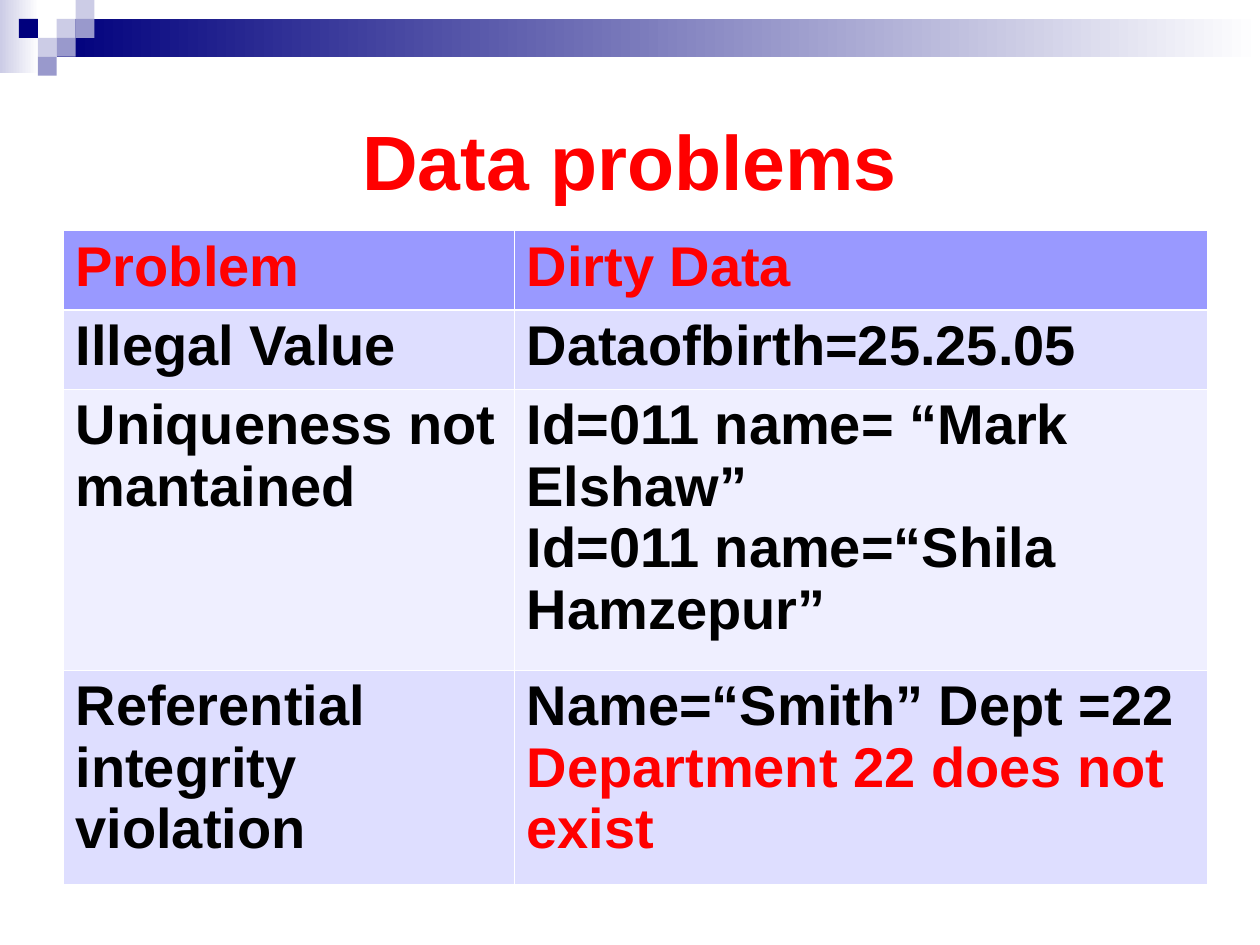
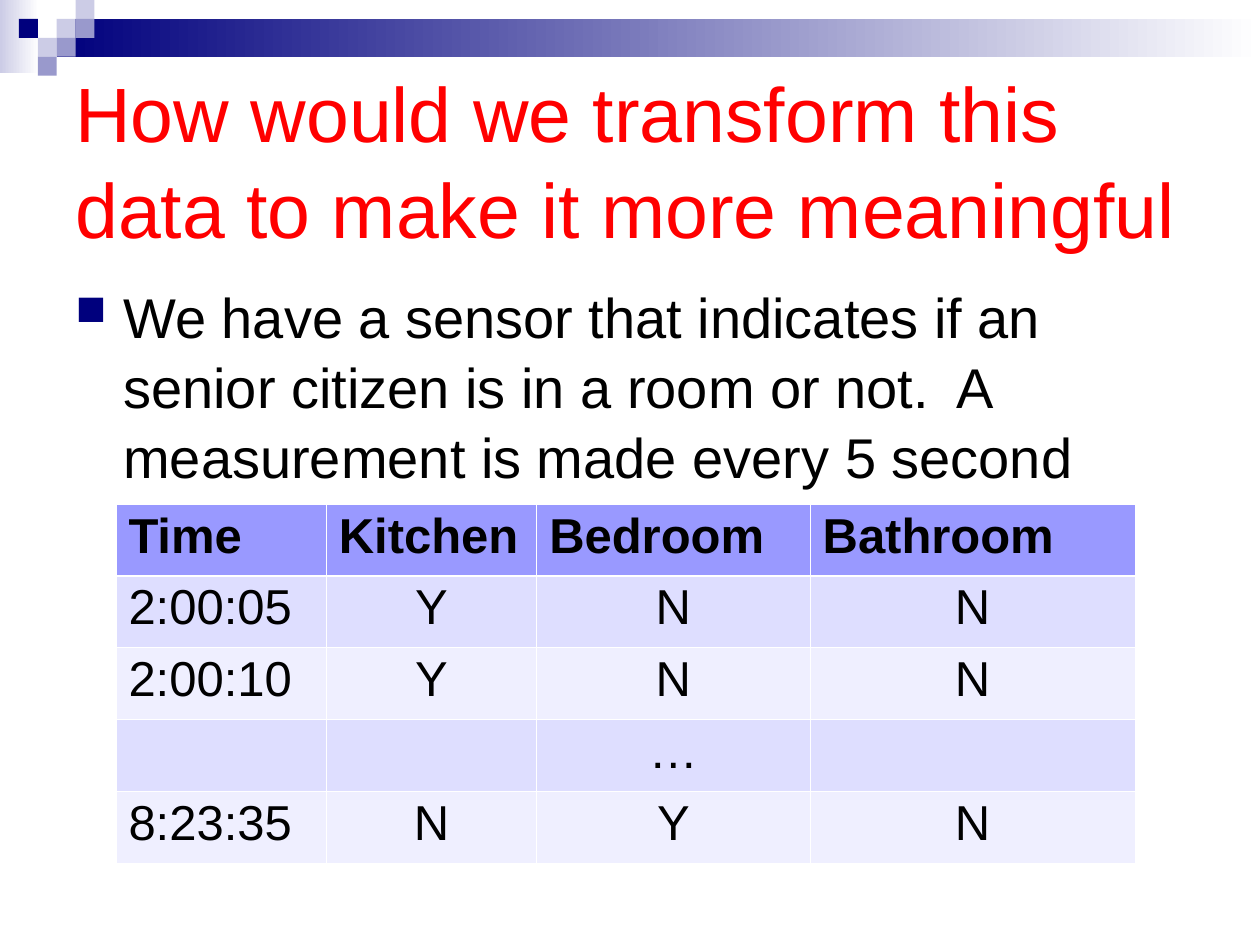
import pptx
import pptx.dml.color
import pptx.enum.shapes
import pptx.enum.text
import pptx.oxml
import pptx.oxml.ns
import pptx.util
from pptx.util import Inches

COLORS = {
    "navy": "00007D", "lavender": "CCCCE6", "violet": "9999CC",
    "white": "FFFFFF", "black": "000000", "red": "FF0000",
    "header": "9999FF", "odd_row": "DEDEFF", "even_row": "EFEFFF",
}
ALIGN = pptx.enum.text.PP_ALIGN
ANCHOR = pptx.enum.text.MSO_ANCHOR
FONT = "Arial"
SQUARE = 0.15
# Column and row of each small square in the corner grid
CORNER_SQUARES = [
    (3, 1, "lavender"), (4, 0, "lavender"), (4, 1, "violet"), (2, 2, "lavender"),
    (1, 1, "navy"), (3, 2, "violet"), (2, 3, "violet"),
]
THIN_LINE, HEADER_LINE = 0.45, 1.47


def rgb(color):
    return pptx.dml.color.RGBColor.from_string(COLORS[color])


def set_attributes(target, values):
    for name, value in values.items():
        setattr(target, name, value)


def write_paragraph(paragraph, text, size, color="black", bold=False,
                    align=ALIGN.LEFT, line_spacing=1.0):
    set_attributes(paragraph, {"alignment": align, "line_spacing": line_spacing})
    run = paragraph.add_run()
    run.text = text
    set_attributes(run.font, {"name": FONT, "size": pptx.util.Pt(size), "bold": bold})
    run.font.color.rgb = rgb(color)


def add_rectangle(slide, left, top, width, height, color, fade=False):
    """Add a borderless rectangle; fade runs its colour to white rightwards."""
    shape = slide.shapes.add_shape(
        pptx.enum.shapes.MSO_SHAPE.RECTANGLE,
        Inches(left), Inches(top), Inches(width), Inches(height))
    shape.shadow.inherit = False
    shape.line.fill.background()
    if fade:
        shape.fill.gradient()
        shape.fill.gradient_angle = 0
        for stop, stop_color, position in zip(
                shape.fill.gradient_stops, (color, "white"), (0, 1)):
            stop.color.rgb = rgb(stop_color)
            stop.position = position
    else:
        shape.fill.solid()
        shape.fill.fore_color.rgb = rgb(color)


def add_corner_band(slide):
    add_rectangle(slide, 0, 0, 0.31, 0.58, "lavender", fade=True)
    add_rectangle(slide, 0.45, 0.15, 9.55, 0.3, "navy", fade=True)
    for column, row, color in CORNER_SQUARES:
        add_rectangle(slide, column * SQUARE, row * SQUARE, SQUARE, SQUARE, color)


def add_text_box(slide, left, top, width, height, anchor):
    box = slide.shapes.add_textbox(
        Inches(left), Inches(top), Inches(width), Inches(height))
    set_attributes(box.text_frame, {"word_wrap": True, "vertical_anchor": anchor})
    return box.text_frame.paragraphs[0]


def add_title(slide, text, **text_format):
    paragraph = add_text_box(slide, 0.5, 0.5, 9, 1.5, ANCHOR.MIDDLE)
    write_paragraph(paragraph, text, 44, "red", line_spacing=1.04, **text_format)


def add_bullet(slide, text):
    paragraph = add_text_box(slide, 0.5, 2.17, 9, 4.25, ANCHOR.TOP)
    write_paragraph(paragraph, text, 32, line_spacing=1.04)
    properties = paragraph._p.get_or_add_pPr()
    indent = Inches(0.38)
    properties.set("marL", str(indent))
    properties.set("indent", str(-indent))
    namespace = pptx.oxml.ns.nsdecls("a")
    for xml in (
        f'<a:buClr {namespace}><a:srgbClr val="{COLORS["navy"]}"/></a:buClr>',
        f'<a:buSzPct {namespace} val="75000"/>',
        f'<a:buChar {namespace} char="■"/>',
    ):
        properties.append(pptx.oxml.parse_xml(xml))


def set_borders(cell, top, bottom):
    properties = cell._tc.get_or_add_tcPr()
    widths = {"lnL": THIN_LINE, "lnR": THIN_LINE, "lnT": top, "lnB": bottom}
    for side, width in widths.items():
        properties.append(pptx.oxml.parse_xml(
            f'<a:{side} {pptx.oxml.ns.nsdecls("a")} w="{pptx.util.Pt(width)}">'
            f'<a:solidFill><a:srgbClr val="{COLORS["white"]}"/></a:solidFill>'
            f'</a:{side}>'))


def add_data_table(slide, left, top, column_widths, row_heights, rows, cell_format):
    """Add a banded table; cell_format(row, column) gives the text format."""
    table = slide.shapes.add_table(
        len(rows), len(column_widths), Inches(left), Inches(top),
        Inches(sum(column_widths)), Inches(sum(row_heights))).table
    for column, width in zip(table.columns, column_widths):
        column.width = Inches(width)
    for row, height in zip(table.rows, row_heights):
        row.height = Inches(height)
    for row_index, texts in enumerate(rows):
        fill = "header" if row_index == 0 else ("even_row", "odd_row")[row_index % 2]
        for column_index, text in enumerate(texts):
            cell = table.cell(row_index, column_index)
            set_borders(cell,
                        top=HEADER_LINE if row_index == 1 else THIN_LINE,
                        bottom=HEADER_LINE if row_index == 0 else THIN_LINE)
            cell.fill.solid()
            cell.fill.fore_color.rgb = rgb(fill)
            for index, line in enumerate(text.split("\n") if text else []):
                frame = cell.text_frame
                paragraph = frame.add_paragraph() if index else frame.paragraphs[0]
                write_paragraph(paragraph, line, line_spacing=0.98,
                                **cell_format(row_index, column_index))
    return table


def problem_format(row, column):
    return {"size": 32, "bold": True, "color": "black" if row else "red"}


def sensor_format(row, column):
    centered = row > 0 and column > 0
    return {"size": 28, "bold": row == 0,
            "align": ALIGN.CENTER if centered else ALIGN.LEFT}


def add_problems_slide(slide):
    add_corner_band(slide)
    add_title(slide, "Data problems", bold=True, align=ALIGN.CENTER)
    table = add_data_table(slide, 0.5, 1.83, [3.58, 5.5], [0.63, 0.63, 2.23, 1.7], [
        ("Problem", "Dirty Data"),
        ("Illegal Value", "Dataofbirth=25.25.05"),
        ("Uniqueness not mantained",
         "Id=011 name= “Mark Elshaw”\nId=011 name=“Shila Hamzepur”"),
        ("Referential\nintegrity violation",
         "Name=“Smith” Dept =22\nDepartment 22 does not exist"),
    ], problem_format)
    missing_department = table.cell(3, 1).text_frame.paragraphs[1].runs[0]
    missing_department.font.color.rgb = rgb("red")


def add_sensor_slide(slide):
    add_corner_band(slide)
    add_title(slide, "How would we transform this data to make it more meaningful")
    add_bullet(slide, "We have a sensor that indicates if an senior citizen is in "
                      "a room or not.  A measurement is made every 5 second")
    add_data_table(slide, 0.92, 4, [1.67, 1.67, 2.17, 2.58], [0.57] * 5, [
        ("Time", "Kitchen", "Bedroom", "Bathroom"),
        ("2:00:05", "Y", "N", "N"),
        ("2:00:10", "Y", "N", "N"),
        ("", "", "…", ""),
        ("8:23:35", "N", "Y", "N"),
    ], sensor_format)


def main():
    presentation = pptx.Presentation()
    set_attributes(presentation, {"slide_width": Inches(10), "slide_height": Inches(7.5)})
    blank_layout = presentation.slide_layouts[6]
    for build_slide in (add_problems_slide, add_sensor_slide):
        build_slide(presentation.slides.add_slide(blank_layout))
    presentation.save("out.pptx")


if __name__ == "__main__":
    main()
